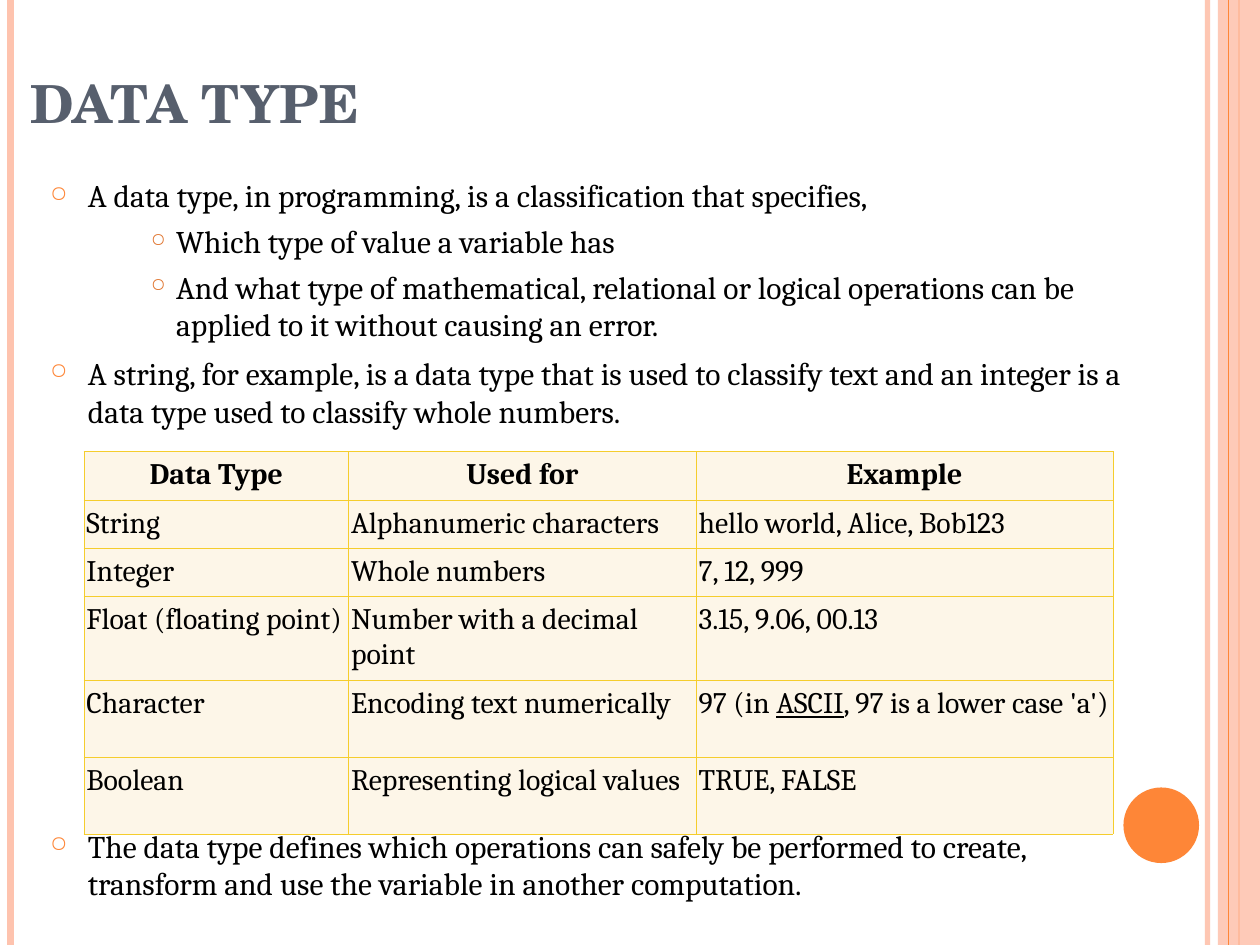
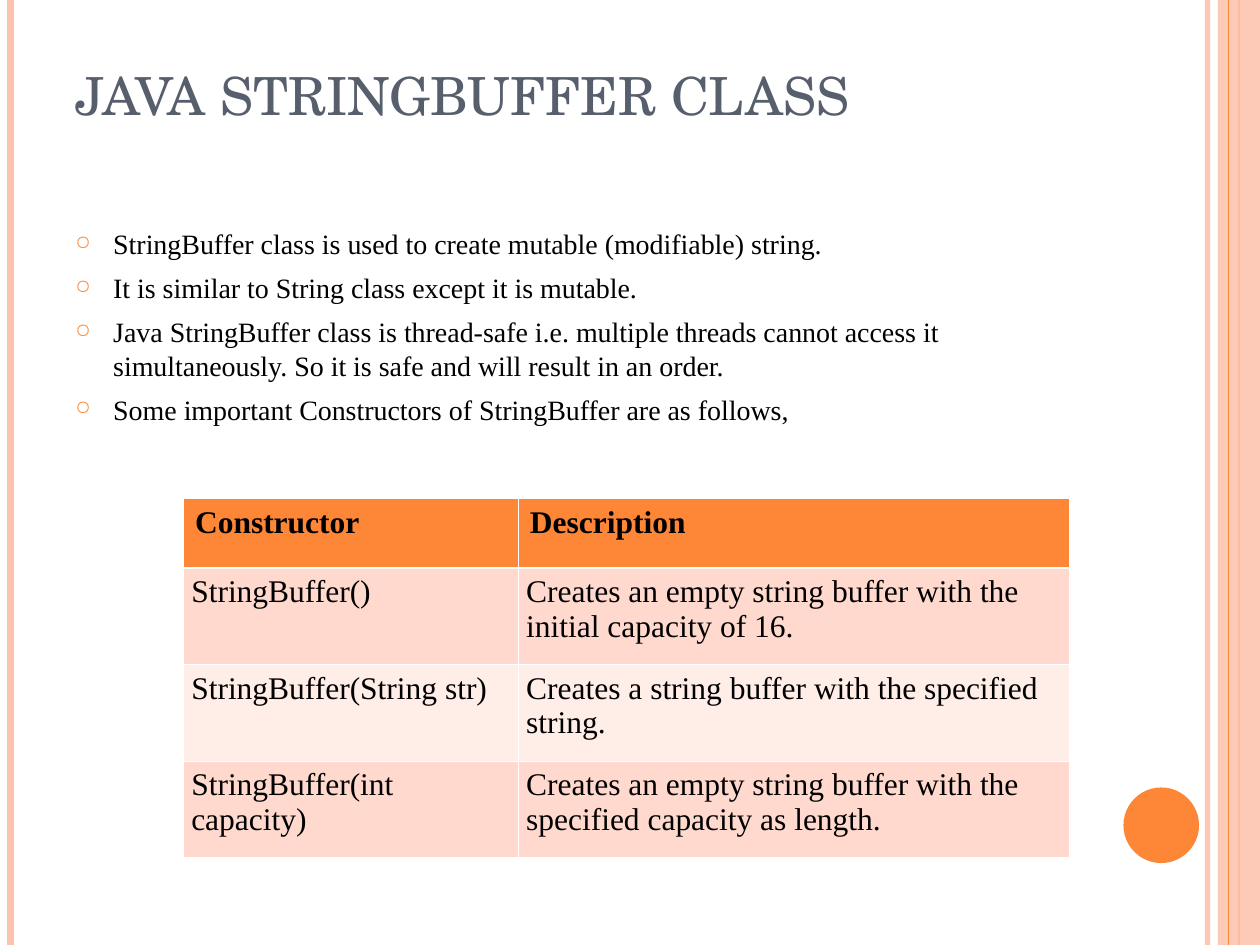
from lxml import etree
from pptx import Presentation
from pptx.dml.color import RGBColor
from pptx.enum.shapes import MSO_CONNECTOR as CONN, MSO_SHAPE as SHAPE
from pptx.enum.text import MSO_ANCHOR as ANCHOR, MSO_AUTO_SIZE as AUTO, PP_ALIGN as ALIGN
from pptx.oxml.ns import qn
from pptx.util import Inches, Pt

COLS, ROWS = 120, 90
ORANGE, PEACH, SLATE, BLACK, WHITE = "FE8637", "FEC3AE", "575F6D", "000000", "FFFFFF"
CREAM, GOLD, RUST, ROSE, BLUSH = "FDF6E8", "F5CD2D", "E0752F", "FFD9CE", "FFEDE8"
TITLE_FONT, SERIF, TIMES = "TeX Gyre Schola", "Cambria", "Times New Roman"
BULLETS = {0: (0.3, -0.3, 6, ORANGE, 70), 1: (1, -0.2, 4.5, RUST, 60)}


def rgb(color):
    """Turn a hex string into a colour."""
    return RGBColor.from_string(color)


def grid(n):
    """Convert grid columns or rows, a twelfth of an inch each, to a length."""
    return Inches(n * 10 / COLS)


def sub(parent, tag, **attrs):
    """Append a drawing element with attributes."""
    return etree.SubElement(parent, qn(tag), {k: str(v) for k, v in attrs.items()})


def set_alpha(sp, percent):
    """Make the solid colour of a shape or line partly transparent."""
    color = sp._element.spPr.find(".//" + qn("a:srgbClr"))
    sub(color, "a:alpha", val=percent * 1000)


def add_run(p, text, font, size, color=BLACK, bold=False, underline=False):
    """Add one formatted run to a paragraph."""
    r = p.add_run()
    r.text = text
    r.font.name, r.font.size = font, Pt(size)
    r.font.bold, r.font.underline = bold, underline
    r.font.color.rgb = rgb(color)


def add_rule(slide, col, color, weight, alpha=None):
    """Draw a full-height vertical line."""
    line = slide.shapes.add_connector(CONN.STRAIGHT, grid(col), 0, grid(col), grid(ROWS))
    line.line.color.rgb = rgb(color)
    line.line.width = Pt(weight)
    if alpha:
        set_alpha(line, alpha)
    sub(line._element.spPr, "a:effectLst")


def add_block(slide, kind, box, color, alpha=None):
    """Draw a filled shape without outline."""
    sp = slide.shapes.add_shape(kind, *map(grid, box))
    sp.shadow.inherit = False
    sp.fill.solid()
    sp.fill.fore_color.rgb = rgb(color)
    sp.line.fill.background()
    if alpha:
        set_alpha(sp, alpha)


def add_frame(slide):
    """Draw the side bands and the disc that every slide carries."""
    add_rule(slide, 115, PEACH, 3, 93)
    add_rule(slide, 1, PEACH, 4.5)
    add_rule(slide, 118, ORANGE, 1.5)
    add_block(slide, SHAPE.RECTANGLE, (116, 0, 4, ROWS), PEACH, 87)
    add_rule(slide, 117, ORANGE, 0.75)
    add_block(slide, SHAPE.OVAL, (107, 75, 7.2, 7.2), ORANGE)


def add_slide(prs, title, box, bold=False, foot=0.6):
    """Add a framed slide with its title sitting above a foot margin."""
    slide = prs.slides.add_slide(prs.slide_layouts[5])
    add_frame(slide)
    sp = slide.shapes.title
    sp.left, sp.top, sp.width, sp.height = map(grid, box)
    tf = sp.text_frame
    tf.auto_size, tf.vertical_anchor = AUTO.NONE, ANCHOR.BOTTOM
    tf.margin_bottom = grid(foot)
    tf.paragraphs[0].alignment = ALIGN.LEFT
    add_run(tf.paragraphs[0], title, TITLE_FONT, 30, SLATE, bold)
    return slide


def add_bullet(p, level):
    """Give a paragraph the indent and ring bullet of its level."""
    left, hang, _, color, percent = BULLETS[level]
    p.level = level
    pPr = p._p.get_or_add_pPr()
    pPr.set("marL", str(Inches(left)))
    pPr.set("indent", str(Inches(hang)))
    sub(sub(pPr, "a:buClr"), "a:srgbClr", val=color)
    sub(pPr, "a:buSzPct", val=percent * 1000)
    sub(pPr, "a:buChar", char="○")


def add_bullets(slide, box, items, font, size):
    """Write (level, text[, space before]) items as a bulleted list."""
    tf = slide.shapes.add_textbox(*map(grid, box)).text_frame
    tf.word_wrap = True
    for i, (level, text, *gap) in enumerate(items):
        p = tf.add_paragraph() if i else tf.paragraphs[0]
        add_bullet(p, level)
        if i:
            p.space_before = Pt(gap[0] if gap else BULLETS[level][2])
        add_run(p, text, font, size)


def set_borders(cell, color, top, bottom):
    """Draw thin cell sides with the given top and bottom weights."""
    tcPr = cell._tc.get_or_add_tcPr()
    for side, weight in zip("LRTB", (0.45, 0.45, top, bottom)):
        ln = sub(tcPr, f"a:ln{side}", w=Pt(weight))
        sub(sub(ln, "a:solidFill"), "a:srgbClr", val=color)


def add_table(slide, at, widths, heights, rows, font, size, fills, border,
              pads, head_align=ALIGN.LEFT, head_rule=0.45):
    """Build a table; fills are the header and two band colours, _ marks underlining."""
    box = (*at, sum(widths), sum(heights))
    table = slide.shapes.add_table(len(rows), len(widths), *map(grid, box)).table
    table.first_row = table.horz_banding = False
    for col, width in zip(table.columns, widths):
        col.width = grid(width)
    for i, (height, texts) in enumerate(zip(heights, rows)):
        head = i == 0
        table.rows[i].height = grid(height)
        for j, text in enumerate(texts):
            cell = table.cell(i, j)
            cell.margin_left = cell.margin_right = Inches(pads[0 if head else 1])
            set_borders(cell, border, head_rule if i == 1 else 0.45, head_rule if head else 0.45)
            cell.fill.solid()
            cell.fill.fore_color.rgb = rgb(fills[0 if head else 2 - i % 2])
            p = cell.text_frame.paragraphs[0]
            p.alignment = head_align if head else ALIGN.LEFT
            for k, part in enumerate(text.split("_")):
                add_run(p, part, font, size, bold=head, underline=k % 2 == 1)


def build_data_types(prs):
    """Build the slide on data types."""
    slide = add_slide(prs, "DATA TYPE", (1.7, 1.4, 108, 12), bold=True)
    add_bullets(slide, (3.6, 16.2, 108, 70.8), [
        (0, "A data type, in programming, is a classification that specifies,"),
        (1, "Which type of value a variable has"),
        (1, "And what type of mathematical, relational or logical operations can be "
            "applied to it without causing an error."),
        (0, "A string, for example, is a data type that is used to classify text and "
            "an integer is a data type used to classify whole numbers."),
        (0, "The data type defines which operations can safely be performed to create, "
            "transform and use the variable in another computation.", 227),
    ], SERIF, 18)
    add_table(slide, (8, 43), (25.2, 33.1, 39.7), (4, 4.3, 4, 7.3, 7.3, 7.3), [
        ("Data Type", "Used for", "Example"),
        ("String", "Alphanumeric characters", "hello world, Alice, Bob123"),
        ("Integer", "Whole numbers", "7, 12, 999"),
        ("Float (floating point)", "Number with a decimal point", "3.15, 9.06, 00.13"),
        ("Character", "Encoding text numerically", "97 (in _ASCII_, 97 is a lower case 'a')"),
        ("Boolean", "Representing logical values", "TRUE, FALSE"),
    ], SERIF, 17, [CREAM] * 3, GOLD, (0.02, 0.02), ALIGN.CENTER)


def build_string_buffer(prs):
    """Build the slide on the StringBuffer class."""
    slide = add_slide(prs, "JAVA STRINGBUFFER CLASS", (6, 3.6, 98, 15), foot=6.6)
    add_bullets(slide, (6, 21, 98, 64), [
        (0, "StringBuffer class is used to create mutable (modifiable) string."),
        (0, "It is similar to String class except it is mutable."),
        (0, "Java StringBuffer class is thread-safe i.e. multiple threads cannot access it "
            "simultaneously. So it is safe and will result in an order."),
        (0, "Some important Constructors of StringBuffer are as follows,"),
    ], TIMES, 16)
    add_table(slide, (17.5, 47.5), (31.9, 52.4), (6.6, 9.2, 9.2, 9.2), [
        ("Constructor", "Description"),
        ("StringBuffer()", "Creates an empty string buffer with the initial capacity of 16."),
        ("StringBuffer(String str)", "Creates a string buffer with the specified string."),
        ("StringBuffer(int capacity)",
         "Creates an empty string buffer with the specified capacity as length."),
    ], TIMES, 18, (ORANGE, ROSE, BLUSH), WHITE, (0.09, 0.06), head_rule=1.47)


def main():
    """Build and save the presentation."""
    prs = Presentation()
    prs.slide_width, prs.slide_height = grid(COLS), grid(ROWS)
    build_data_types(prs)
    build_string_buffer(prs)
    prs.save("out.pptx")


if __name__ == "__main__":
    main()
